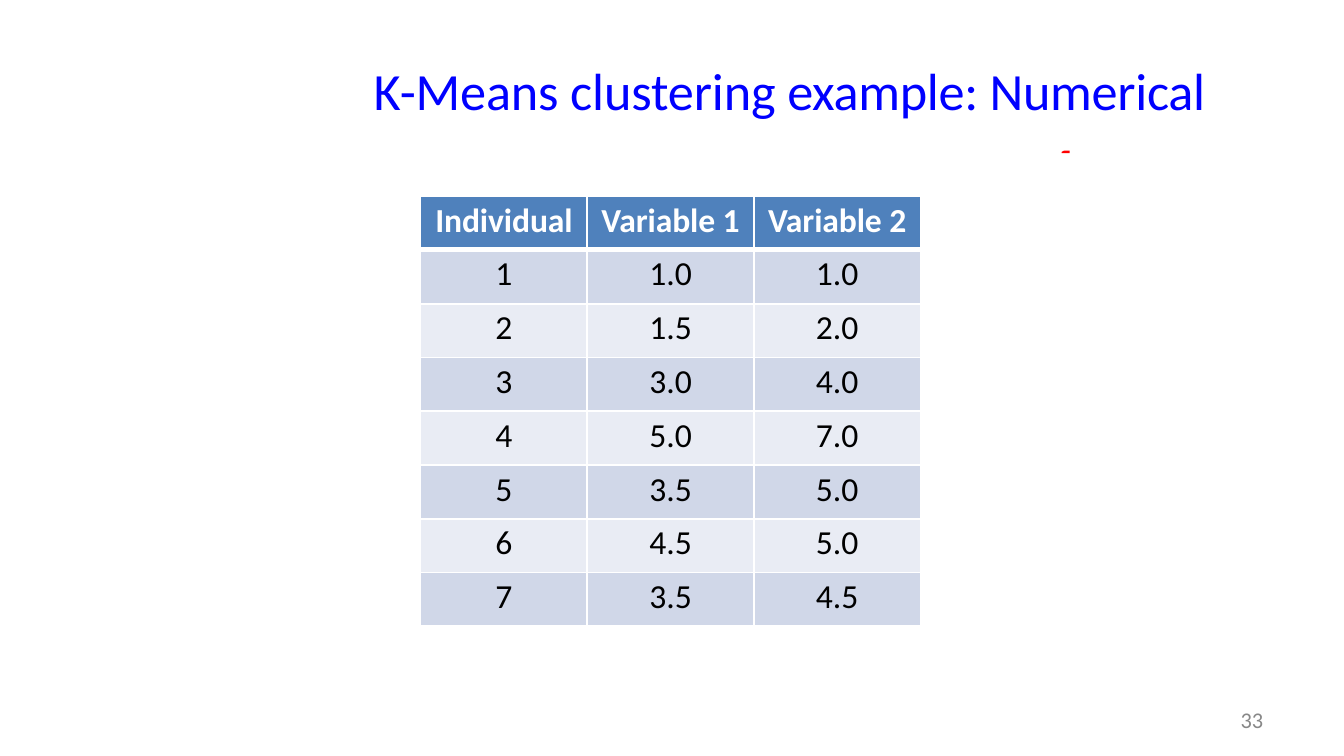
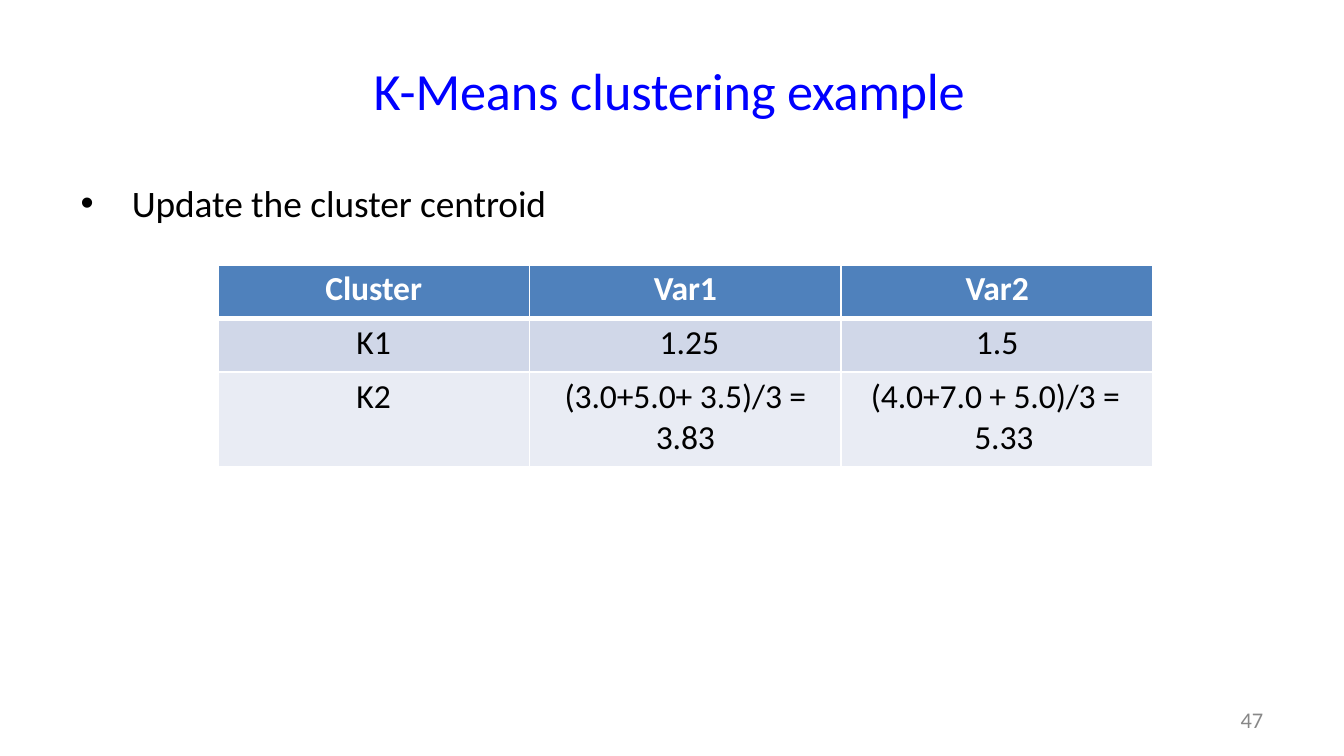
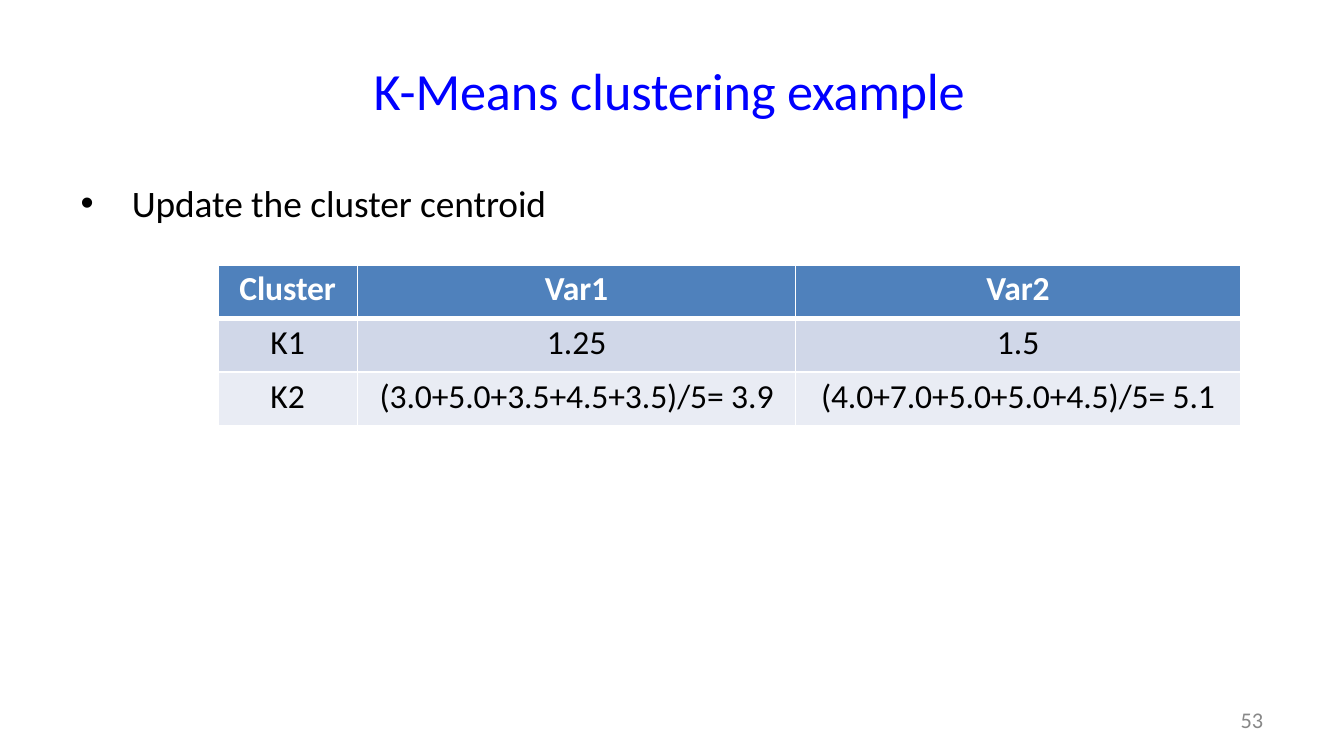
from lxml import etree
from pptx import Presentation
from pptx.dml.color import RGBColor
from pptx.enum import text
from pptx.oxml import ns
from pptx.util import Inches, Pt

FONT = "Calibri"
BLUE = RGBColor(0x00, 0x00, 0xFF)
RED = RGBColor(0xFF, 0x00, 0x00)
BLACK = RGBColor(0x00, 0x00, 0x00)
WHITE = RGBColor(0xFF, 0xFF, 0xFF)
GRAY = RGBColor(0x88, 0x88, 0x88)
HEADER_FILL = RGBColor(0x4F, 0x81, 0xBC)
BAND_FILLS = (RGBColor(0xD0, 0xD7, 0xE8), RGBColor(0xE9, 0xEC, 0xF4))

SLIDE_WIDTH = Inches(10)
SLIDE_HEIGHT = SLIDE_WIDTH * 9 // 16

TITLE_FORMAT = {"size": Pt(28), "color": BLUE}
BULLET_FORMAT = {"size": Pt(20), "color": BLACK}
NUMBER_FORMAT = {"size": Pt(12), "color": GRAY}
HEADER_FORMAT = {"size": Pt(18), "color": WHITE, "bold": True}
BODY_FORMAT = {"size": Pt(18), "color": BLACK, "bold": False}
TIGHT = -0.05
TIGHTER = -0.15

TITLE_START = ("K-Means clustering ", TIGHT)
ROW_HEIGHT = 0.4
THIN, THICK = 1, 3

INDIVIDUALS = [
    ["Individual", "Variable 1", "Variable 2"],
    ["1", "1.0", "1.0"],
    ["2", "1.5", "2.0"],
    ["3", "3.0", "4.0"],
    ["4", "5.0", "7.0"],
    ["5", "3.5", "5.0"],
    ["6", "4.5", "5.0"],
    ["7", "3.5", "4.5"],
]
CENTROID_HEAD = [["Cluster", "Var1", "Var2"], ["K1", "1.25", "1.5"]]
FIRST_UPDATE = CENTROID_HEAD + [
    ["K2", "(3.0+5.0+ 3.5)/3 =\n3.83", "(4.0+7.0 + 5.0)/3 = 5.33"]
]
SECOND_UPDATE = CENTROID_HEAD + [
    ["K2", "(3.0+5.0+3.5+4.5+3.5)/5= 3.9", "(4.0+7.0+5.0+5.0+4.5)/5= 5.1"]
]


def set_values(target, values):
    """Set each named attribute of the target."""
    for name, value in values.items():
        setattr(target, name, value)


def set_indent(paragraph, left, first):
    """Set the left margin and first-line indent in inches."""
    properties = paragraph._p.get_or_add_pPr()
    properties.set("marL", str(Inches(left)))
    properties.set("indent", str(Inches(first)))
    return properties


def add_runs(paragraph, runs, font_format):
    """Write (text, letter spacing) runs in one font format."""
    values = dict(font_format, name=FONT)
    color = values.pop("color")
    for words, spacing in runs:
        run = paragraph.add_run()
        run.text = words
        set_values(run.font, values)
        run.font.color.rgb = color
        run._r.get_or_add_rPr().set("spc", str(round(spacing * 100)))


def add_label(slide, box, runs, font_format, left=0, first=0, bullet=None, top_inset=0.01):
    """Add a one-paragraph text box and return its paragraph."""
    frame = slide.shapes.add_textbox(*map(Inches, box)).text_frame
    set_values(frame, {
        "margin_left": 0, "margin_right": 0, "margin_bottom": 0,
        "margin_top": Inches(top_inset), "word_wrap": True,
        "auto_size": text.MSO_AUTO_SIZE.SHAPE_TO_FIT_TEXT,
    })
    paragraph = frame.paragraphs[0]
    properties = set_indent(paragraph, left, first)
    if bullet:
        etree.SubElement(properties, ns.qn("a:buFont")).set("typeface", "Arial")
        etree.SubElement(properties, ns.qn("a:buChar")).set("char", bullet)
    add_runs(paragraph, runs, font_format)
    return paragraph


def set_borders(cell, top, bottom):
    """Draw white borders of the given point widths around a cell."""
    properties = cell._tc.get_or_add_tcPr()
    widths = {"a:lnL": THIN, "a:lnR": THIN, "a:lnT": top, "a:lnB": bottom}
    for position, (tag, width) in enumerate(widths.items()):
        line = etree.Element(ns.qn(tag), w=str(Pt(width)))
        fill = etree.SubElement(line, ns.qn("a:solidFill"))
        etree.SubElement(fill, ns.qn("a:srgbClr")).set("val", str(WHITE))
        properties.insert(position, line)


def fill_cell(cell, words, row):
    """Write and colour one cell according to its row."""
    set_values(cell, {
        "margin_left": 0, "margin_right": 0, "margin_bottom": 0,
        "margin_top": Inches(0.03),
    })
    cell.fill.solid()
    cell.fill.fore_color.rgb = BAND_FILLS[(row - 1) % 2] if row else HEADER_FILL
    set_borders(cell, THICK if row == 1 else THIN, THIN if row else THICK)
    spacing = TIGHT if row == 0 or "=" in words else 0
    for index, line in enumerate(words.split("\n")):
        frame = cell.text_frame
        paragraph = frame.add_paragraph() if index else frame.paragraphs[0]
        paragraph.alignment = text.PP_ALIGN.CENTER
        add_runs(paragraph, [(line, spacing)], BODY_FORMAT if row else HEADER_FORMAT)


def add_data_table(slide, left, top, widths, rows, last_height=ROW_HEIGHT):
    """Add a banded table and return it."""
    heights = [ROW_HEIGHT] * (len(rows) - 1) + [last_height]
    box = (left, top, sum(widths), sum(heights))
    table = slide.shapes.add_table(len(rows), len(widths), *map(Inches, box)).table
    table.horz_banding = False
    for column, width in zip(table.columns, widths):
        column.width = Inches(width)
    for row, height in enumerate(heights):
        table.rows[row].height = Inches(height)
        for column, words in enumerate(rows[row]):
            fill_cell(table.cell(row, column), words, row)
    return table


def add_red_mark(slide, left, top):
    """Draw the small red pen stroke."""
    outline = [(2, 0), (0, 1), (0, 2), (1, 2.5), (2, 2), (4, 1.5), (6, 1.5), (6.5, 0.5), (5, 0)]
    builder = slide.shapes.build_freeform(3, 0, scale=Inches(0.01))
    builder.add_line_segments(outline, close=True)
    mark = builder.convert_to_shape(Inches(left), Inches(top))
    mark.shadow.inherit = False
    mark.fill.solid()
    mark.fill.fore_color.rgb = RED
    mark.line.fill.background()


def add_base_slide(presentation, title_end, title_width, number):
    """Add a blank slide with its title and page number."""
    slide = presentation.slides.add_slide(presentation.slide_layouts[6])
    add_label(slide, (2.77, 0.42, title_width, 0.48),
              [TITLE_START, (title_end, TIGHTER)], TITLE_FORMAT, left=0.01)
    page = add_label(slide, (9.19, 5.28, 0.25, 0.2), [(number, 0)],
                     NUMBER_FORMAT, left=0.04, top_inset=0)
    page.line_spacing = Pt(12.4)
    return slide


def add_data_slide(presentation):
    """Add the slide that lists the individuals."""
    slide = add_base_slide(presentation, "example: Numerical", 6.65, "33")
    add_data_table(slide, 3.13, 1.46, [1.24] * 3, INDIVIDUALS)
    add_red_mark(slide, 7.9, 1.12)


def add_centroid_slide(presentation, number, widths, rows, last_height=ROW_HEIGHT):
    """Add a centroid update slide and return its table."""
    slide = add_base_slide(presentation, "example", 4.46, number)
    add_label(slide, (0.59, 1.33, 3.51, 0.36),
              [("Update ", TIGHT), ("the ", 0), ("cluster centroid", TIGHT)],
              BULLET_FORMAT, left=0.39, first=-0.38, bullet="•")
    return add_data_table(slide, 1.62, 1.97, widths, rows, last_height)


def main():
    """Build and save the presentation."""
    presentation = Presentation()
    set_values(presentation, {"slide_width": SLIDE_WIDTH, "slide_height": SLIDE_HEIGHT})
    add_data_slide(presentation)
    table = add_centroid_slide(presentation, "47", [2.32] * 3, FIRST_UPDATE, 0.7)
    set_indent(table.cell(1, 1).text_frame.paragraphs[0], 0.06, 0)
    formula = table.cell(2, 2).text_frame.paragraphs[0]
    formula.alignment = text.PP_ALIGN.LEFT
    set_indent(formula, 0.99, -0.77)
    add_centroid_slide(presentation, "53", [1.04, 3.26, 3.31], SECOND_UPDATE)
    presentation.save("out.pptx")


if __name__ == "__main__":
    main()
